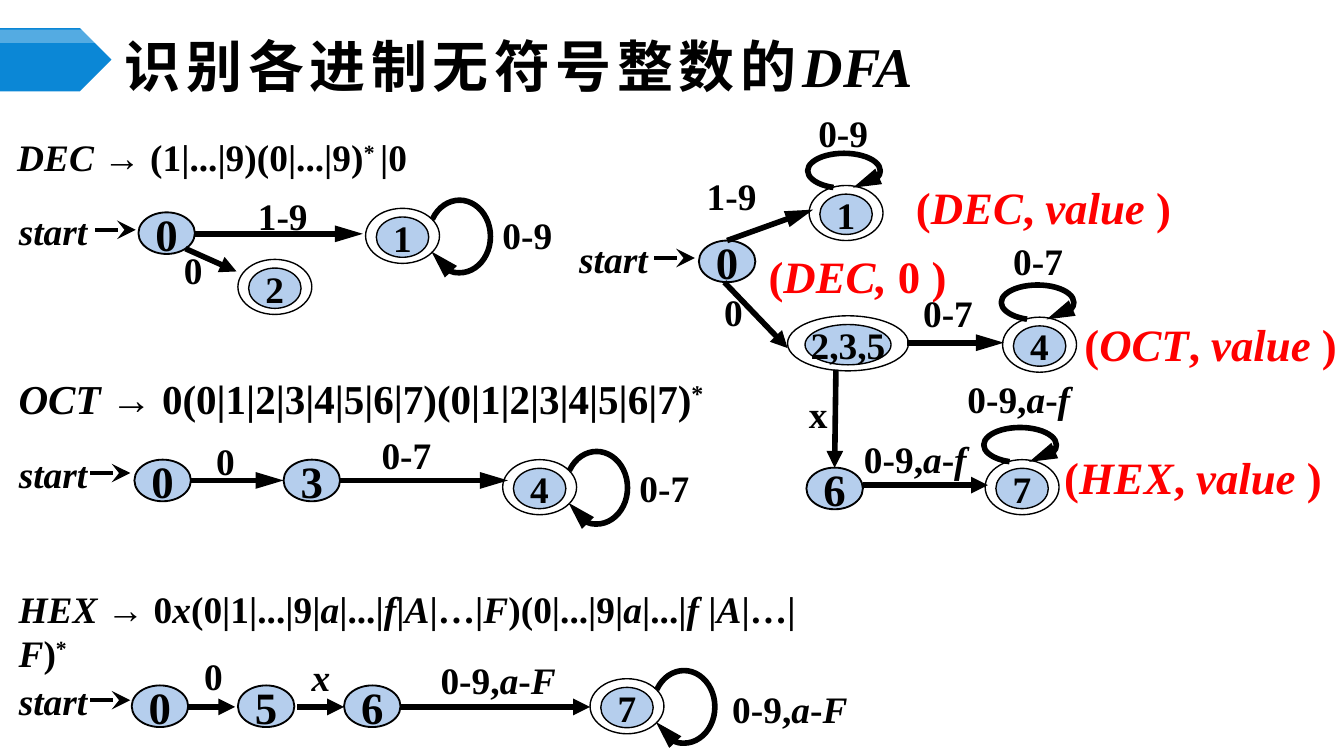
from lxml.etree import SubElement
from pptx import Presentation
from pptx.dml.color import RGBColor
from pptx.enum.shapes import MSO_CONNECTOR, MSO_SHAPE
from pptx.enum.text import MSO_ANCHOR, MSO_AUTO_SIZE, PP_ALIGN
from pptx.oxml.ns import qn
from pptx.util import Inches, Pt

LATIN, CHINESE = "Times New Roman", "Noto Sans CJK SC"
BLACK, WHITE, RED = "000000", "FFFFFF", "FF0000"
STATE_BLUE, BANNER_BLUE = "B5CEED", "0B87D6"
COLUMNS, ROWS = 100, 56.25


def color(value):
    return RGBColor.from_string(value)


def cells(*counts):
    return [Inches(count / 10) for count in counts]


def style(para, size, tint=BLACK):
    font = para.font
    font.name, font.size, font.bold = LATIN, Pt(size), True
    font.color.rgb = color(tint)


def write(para, markup, size, tint=BLACK):
    """Underscores switch italics, carets switch superscript."""
    for index, part in enumerate(markup.split("_")):
        for level, piece in enumerate(part.split("^")):
            if piece:
                span = para.add_run()
                span.text = piece
                if index % 2:
                    span.font.italic = True
                if level % 2:
                    span.font._element.set("baseline", "30000")
    style(para, size, tint)


def label(page, left, top, width, markup, size=20, tint=BLACK, wrap=False):
    box = page.shapes.add_textbox(*cells(left, top, width, size * 0.22))
    frame = box.text_frame
    frame.word_wrap = wrap
    frame.auto_size = MSO_AUTO_SIZE.SHAPE_TO_FIT_TEXT
    write(frame.paragraphs[0], markup, size, tint)


def add_head(line, kind, breadth="med", length="med"):
    SubElement(line._get_or_add_ln(), qn("a:tailEnd"), type=kind, w=breadth, len=length)


def arrow(page, begin, end, width=3, head=("triangle",)):
    link = page.shapes.add_connector(MSO_CONNECTOR.STRAIGHT, *cells(*begin, *end))
    link.line.color.rgb = color(BLACK)
    link.line.width = Pt(width)
    add_head(link.line, *head)
    SubElement(link._element.spPr, qn("a:effectLst"))


def long_arrow(page, begin, end):
    arrow(page, begin, end, head=("triangle", "med", "lg"))


def outline(page, kind, box, width, fill=None):
    shape = page.shapes.add_shape(kind, *cells(*box))
    shape.shadow.inherit = False
    if fill:
        shape.fill.solid()
        shape.fill.fore_color.rgb = color(fill)
    else:
        shape.fill.background()
    shape.line.color.rgb = color(BLACK)
    shape.line.width = Pt(width)
    return shape


def center_text(shape, markup, size):
    frame = shape.text_frame
    frame.word_wrap = False
    frame.vertical_anchor = MSO_ANCHOR.MIDDLE
    para = frame.paragraphs[0]
    para.alignment = PP_ALIGN.CENTER
    write(para, markup, size)


def state(page, left, top, name):
    center_text(outline(page, MSO_SHAPE.OVAL, (left, top, 4.2, 3.1), 1, STATE_BLUE), name, 24)


def final_state(page, left, top, name, width=5.5, margin=0.8):
    outline(page, MSO_SHAPE.OVAL, (left, top, width, 4.1), 0.75)
    core = (left + margin, top + 0.65, width - 2 * margin, 3)
    center_text(outline(page, MSO_SHAPE.OVAL, core, 0.75, STATE_BLUE), name, 20)


def loop(page, box, rotation=0):
    arc = outline(page, MSO_SHAPE.ARC, box, 3)
    arc.adjustments[0], arc.adjustments[1] = 127.212, 91.115
    arc.rotation = rotation
    add_head(arc.line, "triangle", "med", "lg")


def side_loop_state(page, left, top, name):
    loop(page, (left + 4.7, top - 0.6, 4.6, 5.4))
    final_state(page, left, top, name)


def top_loop_state(page, left, top, name):
    loop(page, (left + 1.3, top - 3.8, 2.6, 5.4), 270)
    final_state(page, left, top, name)


def start(page, left, top, gap=6.3):
    box = page.shapes.add_textbox(*cells(left, top, 7.1, 2.3))
    center_text(box, "_start_", 20)
    arrow(page, (left + gap, top + 1.1), (left + gap + 3, top + 1.1), 2, ("stealth", "lg", "lg"))


def heading(page, left, top):
    for offset, height, fill in ((0, 4.7, BANNER_BLUE), (0.1, 1, WHITE)):
        plate = outline(page, MSO_SHAPE.PENTAGON, (left, top + offset, 8.3, height), 1, fill)
        plate.line.fill.background()
    SubElement(plate.fill._xPr.find(".//" + qn("a:srgbClr")), qn("a:alpha"), val="30000")
    title = page.shapes.title
    title.left, title.top, title.width, title.height = cells(left + 8.3, top + 0.8, 86.7, 3.9)
    frame = title.text_frame
    frame.word_wrap = True
    frame.auto_size = MSO_AUTO_SIZE.NONE
    frame.vertical_anchor = MSO_ANCHOR.MIDDLE
    para = frame.paragraphs[0]
    para.alignment = PP_ALIGN.LEFT
    write(para, "识别各进制无符号整数的_DFA_", 30)
    chinese = para.runs[0].font
    chinese.name = CHINESE
    chinese._element.set("spc", "300")
    SubElement(chinese._element, qn("a:ea"), typeface=CHINESE)


def decimal_machine(page, left, top):
    label(page, left - 0.1, top, 31.6, "_DEC_ → (1|...|9)(0|...|9)^* ^|0")
    start(page, left, top + 6.5, 6.7)
    state(page, left + 9.9, top + 6.3, "0")
    long_arrow(page, (left + 14.1, top + 7.9), (left + 26.6, top + 7.9))
    label(page, left + 17.8, top + 4.4, 5.8, "1-9")
    side_loop_state(page, left + 26.8, top + 6, "1")
    label(page, left + 36, top + 5.8, 9.6, "0-9", wrap=True)
    arrow(page, (left + 13.4, top + 9), (left + 17.2, top + 10.7))
    label(page, left + 12.3, top + 8.4, 3.4, "0")
    final_state(page, left + 17.3, top + 9.8, "2")


def octal_machine(page, left, top):
    label(page, left, top, 53.8, "_OCT_ → 0(0|1|2|3|4|5|6|7)(0|1|2|3|4|5|6|7)^*^", 22)
    start(page, left, top + 6.8)
    state(page, left + 9.6, top + 6.9, "0")
    long_arrow(page, (left + 13.8, top + 8.45), (left + 20.7, top + 8.45))
    label(page, left + 14.7, top + 4.8, 3.4, "0")
    state(page, left + 20.7, top + 6.9, "3")
    long_arrow(page, (left + 24.9, top + 8.45), (left + 37.4, top + 8.45))
    label(page, left + 27, top + 4.4, 5.8, "0-7")
    side_loop_state(page, left + 37, top + 6.9, "4")
    label(page, left + 46.2, top + 6.8, 5.7, "0-7")


def hexadecimal_machine(page, left, top):
    rule = "_HEX_ → 0_x_(0|1|...|9|_a_|...|_f_|_A_|…|_F_)(0|...|9|_a_|...|_f_ |_A_|…|_F_)^*^"
    label(page, left, top, 63.3, rule, wrap=True)
    start(page, left, top + 7.9)
    for offset, name in ((9.4, "0"), (17.3, "5"), (25.2, "6")):
        state(page, left + offset, top + 7.9, name)
    for begin, end in ((13.6, 17.1), (21.7, 25.2), (29.4, 43.5)):
        arrow(page, (left + begin, top + 9.5), (left + end, top + 9.5))
    label(page, left + 13.8, top + 5, 3.4, "0")
    label(page, left + 21.8, top + 5.1, 3.4, "_x_")
    label(page, left + 31.4, top + 5.3, 10.7, "0-9,_a_-_F_")
    side_loop_state(page, left + 43.5, top + 7.4, "7")
    label(page, left + 53.1, top + 7.5, 14.6, "0-9,_a_-_F_", wrap=True)


def combined_machine(page, left, top):
    start(page, left, top + 10.4, 6.6)
    state(page, left + 9.9, top + 10.2, "0")
    final_state(page, left + 16.5, top + 15.8, "2,3,5", 9, 1.3)
    state(page, left + 17.9, top + 27.1, "6")
    for across, down, name in ((18.1, 6.1, "1"), (32.5, 15.9, "4"), (31.2, 26.5, "7")):
        top_loop_state(page, left + across, top + down, name)
    for draw, x1, y1, x2, y2 in (
        (long_arrow, 12, 10.2, 18.4, 7.9), (arrow, 11.8, 13.3, 16.5, 18.2),
        (long_arrow, 25.4, 17.8, 32.6, 17.8), (arrow, 20.1, 19.8, 20, 27.1),
        (arrow, 22.1, 28.4, 31.4, 28.4),
    ):
        draw(page, (left + x1, top + y1), (left + x2, top + y2))
    for across, down, width, text, wrap in (
        (9.5, 4.7, 5.8, "1-9", False), (17.8, 0, 9.6, "0-9", True),
        (10.8, 13.3, 3.4, "0", False), (25.6, 13.4, 5.8, "0-7", False),
        (32.3, 9.5, 5.7, "0-7", False), (17.1, 20.9, 3.4, "x", False),
        (21.2, 24.3, 9.7, "0-9,_a_-_f_", False), (28.9, 19.8, 14.6, "0-9,_a_-_f_", True),
    ):
        label(page, left + across, top + down, width, text, wrap=wrap)
    for across, down, width, text in (
        (23.4, 5.2, 32.5, "  (_DEC_,_ value_ )"), (14.1, 10.3, 20.5, "(_DEC,_ 0 )"),
        (37.6, 15.4, 21.4, "(_OCT_,_ value _)"), (36.1, 25.3, 22.2, "(_HEX_,_ value _)"),
    ):
        label(page, left + across, top + down, width, text, 24, RED, True)


def main():
    deck = Presentation()
    deck.slide_width, deck.slide_height = cells(COLUMNS, ROWS)
    page = deck.slides.add_slide(deck.slide_layouts[5])
    heading(page, 0, 2.1)
    decimal_machine(page, 0.4, 9.5)
    octal_machine(page, 0.4, 27.3)
    hexadecimal_machine(page, 0.4, 43.1)
    combined_machine(page, 42.1, 7.7)
    deck.save("out.pptx")


if __name__ == "__main__":
    main()
